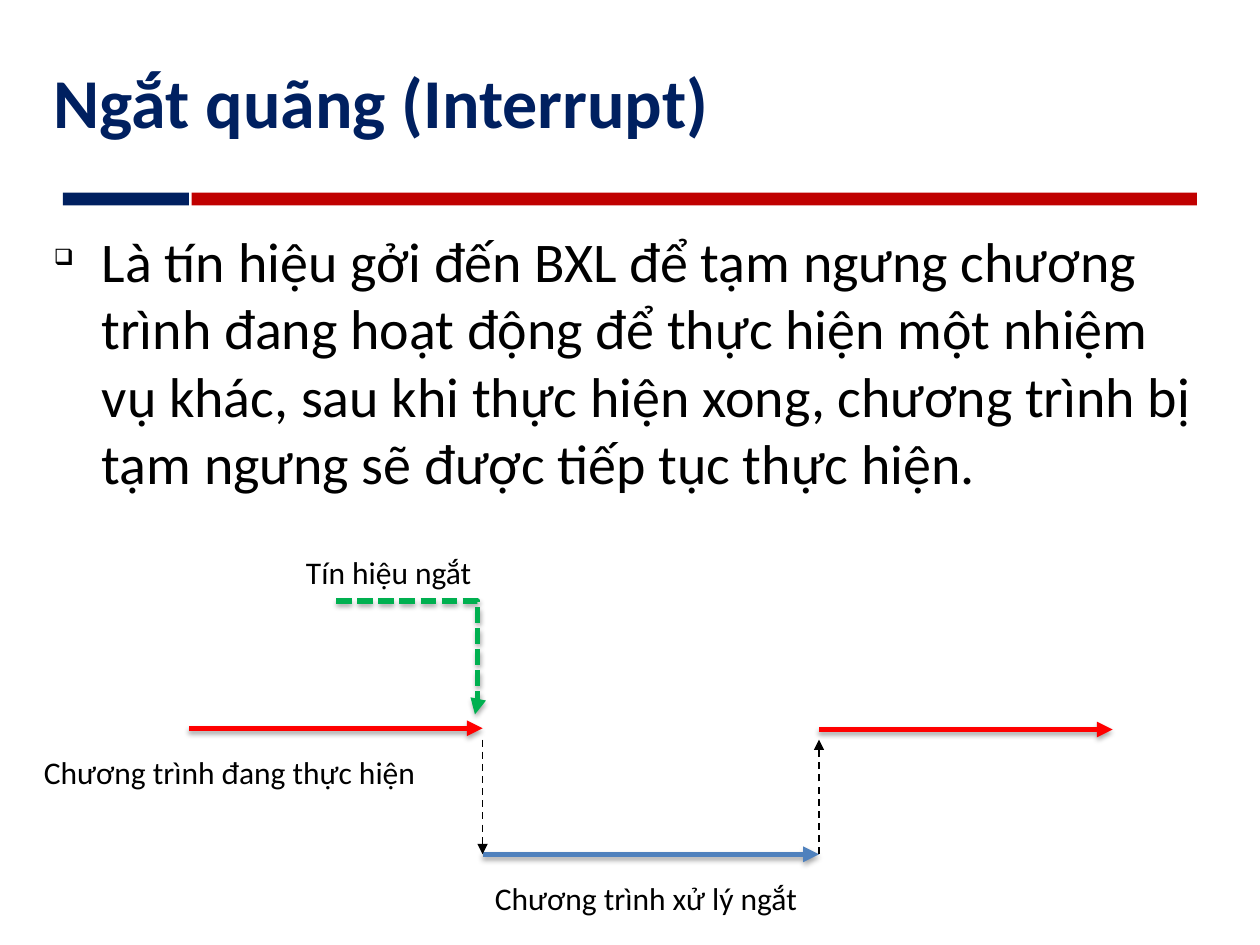
from lxml import etree
from pptx import Presentation
from pptx.dml.color import RGBColor
from pptx.enum import dml, shapes, text
from pptx.oxml import ns
from pptx.util import Inches, Pt

NAVY = RGBColor(0x00, 0x20, 0x60)
CRIMSON = RGBColor(0xC0, 0x00, 0x00)
RED = RGBColor(0xFF, 0x00, 0x00)
GREEN = RGBColor(0x00, 0xB0, 0x50)
BLUE = RGBColor(0x4F, 0x81, 0xBD)
BLACK = RGBColor(0x00, 0x00, 0x00)

FONT = "Calibri"
START_X, CALL_X, RETURN_X, END_X = 1.5, 3.83, 6.5, 8.83
MAIN_Y, JUMP_Y, HANDLER_Y = 5.78, 5.87, 6.78
LABELS = [
    ("Chương trình đang thực hiện", 0.25, 5.93, 3.19),
    ("Chương trình xử lý ngắt", 3.83, 6.93, 2.63),
    ("Tín hiệu ngắt", 2.33, 4.34, 1.59),
]


def add_xml(parent, tag, **attrs):
    """Append a DrawingML child element and return it."""
    attrs = {k: str(v) for k, v in attrs.items()}
    return etree.SubElement(parent, ns.qn(f"a:{tag}"), attrs)


def add_text(s, content, x, y, w, h, size=18, color=BLACK, bold=False,
             anchor=text.MSO_ANCHOR.TOP, wrap=True):
    """Add a one-paragraph text box and return its paragraph."""
    tf = s.shapes.add_textbox(Inches(x), Inches(y), Inches(w), Inches(h)).text_frame
    tf.word_wrap = wrap
    tf.vertical_anchor = anchor
    p = tf.paragraphs[0]
    r = p.add_run()
    r.text = content
    r.font.name, r.font.size, r.font.bold = FONT, Pt(size), bold
    r.font.color.rgb = color
    return p


def add_bullet(p, char, indent, percent):
    """Give a paragraph a hanging bullet."""
    pPr = p._p.get_or_add_pPr()
    pPr.set("marL", str(Inches(indent)))
    pPr.set("indent", str(-Inches(indent)))
    add_xml(pPr, "buSzPct", val=percent * 1000)
    add_xml(pPr, "buChar", char=char)


def add_bar(s, x, w, color):
    """Add one segment of the rule below the title."""
    sp = s.shapes.add_shape(shapes.MSO_SHAPE.RECTANGLE, Inches(x), Inches(1.53),
                            Inches(w), Inches(0.1))
    sp.shadow.inherit = False
    sp.fill.solid()
    sp.fill.fore_color.rgb = color
    sp.line.fill.background()


def add_arrow(s, start, end, color, width=3, dash=None, shadow=True, bend=None):
    """Add a straight or bent arrow, with an optional dash and shadow."""
    kind = shapes.MSO_CONNECTOR.STRAIGHT if bend is None else shapes.MSO_CONNECTOR.ELBOW
    cxn = s.shapes.add_connector(kind, *(Inches(v) for v in start + end))
    cxn.line.color.rgb = color
    cxn.line.width = Pt(width)
    if dash is not None:
        cxn.line.dash_style = dash
    add_xml(cxn.get_or_add_ln(), "tailEnd", type="triangle")
    spPr = cxn._element.spPr
    if bend is not None:
        av = spPr.find(".//" + ns.qn("a:avLst"))
        add_xml(av, "gd", name="adj1", fmla=f"val {round(bend * 100000)}")
    effects = add_xml(spPr, "effectLst")
    if shadow:
        outer = add_xml(effects, "outerShdw", blurRad=Pt(3.1), dist=Pt(1.8),
                        dir=90 * 60000, rotWithShape=0)
        add_xml(add_xml(outer, "srgbClr", val=BLACK), "alpha", val=35000)


def add_flow(s):
    """Draw the interrupted program, its handler and the jumps between them."""
    for x1, x2, y, color in [(START_X, CALL_X, MAIN_Y, RED),
                             (RETURN_X, END_X, MAIN_Y + 0.01, RED),
                             (CALL_X, RETURN_X, HANDLER_Y, BLUE)]:
        add_arrow(s, (x1, y), (x2, y), color)
    add_arrow(s, (2.67, 4.77), (3.77, 5.67), GREEN,
              dash=dml.MSO_LINE.SQUARE_DOT, bend=1.02)
    for x, y1, y2 in [(CALL_X, JUMP_Y, HANDLER_Y), (RETURN_X, HANDLER_Y, JUMP_Y)]:
        add_arrow(s, (x, y1), (x, y2), BLACK, width=1,
                  dash=dml.MSO_LINE.DASH, shadow=False)
    for label, x, y, w in LABELS:
        add_text(s, label, x, y, w, 0.4, wrap=False)


def main():
    """Build and save the slide."""
    prs = Presentation()
    prs.slide_width, prs.slide_height = Inches(10), Inches(7.5)
    s = prs.slides.add_slide(prs.slide_layouts[6])
    add_bar(s, 0.5, 1, NAVY)
    add_bar(s, 1.52, 7.98, CRIMSON)
    add_text(s, "Ngắt quãng (Interrupt)", 0.33, 0.17, 9.33, 1.25, size=40,
             color=NAVY, bold=True, anchor=text.MSO_ANCHOR.MIDDLE)
    p = add_text(s, "Là tín hiệu gởi đến BXL để tạm ngưng chương trình đang hoạt "
                 "động để thực hiện một nhiệm vụ khác, sau khi thực hiện xong, "
                 "chương trình bị tạm ngưng sẽ được tiếp tục thực hiện.",
                 0.33, 1.75, 9.33, 5.6, size=32)
    p.space_before = Pt(6.4)
    add_bullet(p, "❑", 0.38, 40)
    add_flow(s)
    prs.save("out.pptx")


if __name__ == "__main__":
    main()
